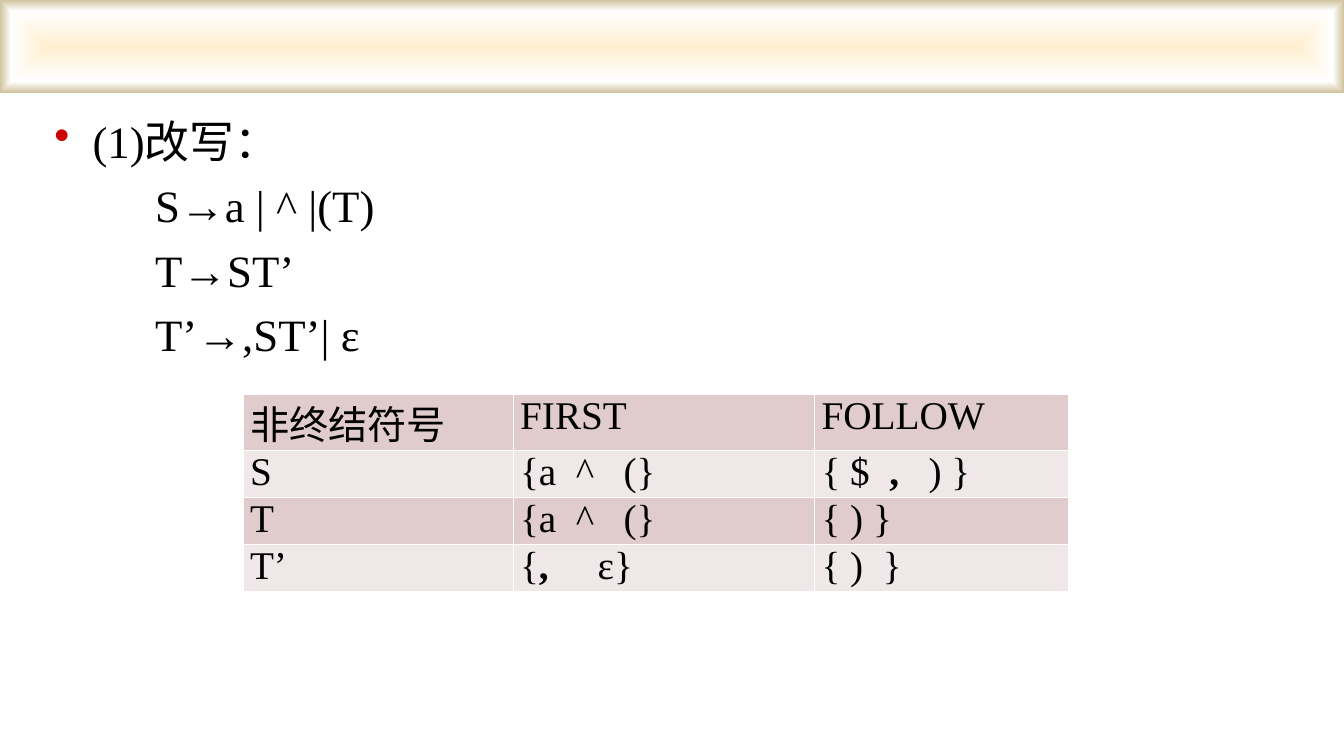
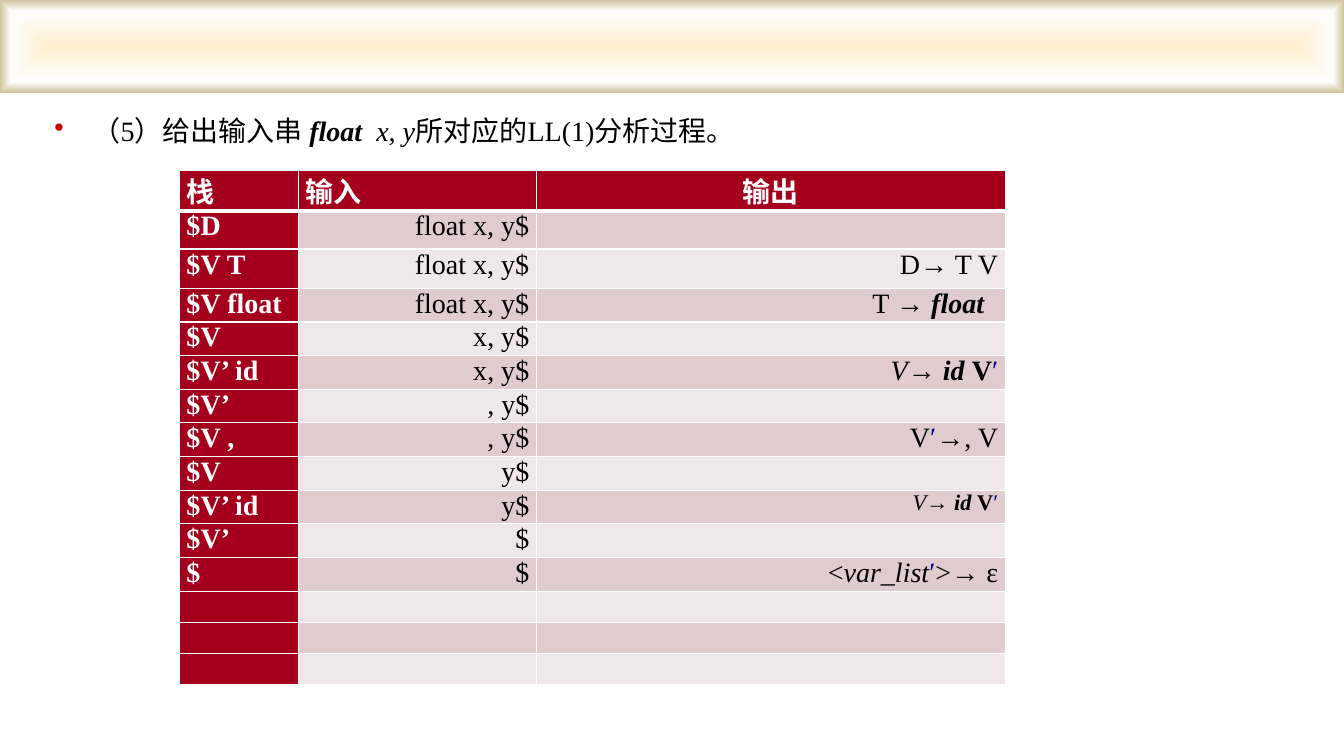
"""Build two slides on LL(1) parsing: FIRST and FOLLOW sets, then a parse trace."""
from lxml.etree import SubElement
from pptx import Presentation
from pptx.dml.color import RGBColor
from pptx.enum.shapes import MSO_SHAPE
from pptx.enum.text import PP_ALIGN
from pptx.oxml import parse_xml
from pptx.oxml.ns import nsdecls, qn
from pptx.util import Inches, Pt

THEME = {
    "font": "Times New Roman",
    "black": "000000",
    "white": "FFFFFF",
    "prime": "000099",
    "bullet": "CC0000",
    "header": "A4001D",
    "bands": ("E0CCCD", "F0E7E8"),
    "gradient": ((0, "FFEFD1"), (76, "FFFFFF"), (100, "D1C39F")),
    "heading": 32,
    "set": 28,
    "trace": 20,
    "small": 16,
}
BOLD = {"bold": True}
ITALIC = {"italic": True}
BOLD_ITALIC = {"bold": True, "italic": True}
PRIME = ("′", {"color": THEME["prime"]})
LEFT, CENTER, RIGHT = PP_ALIGN.JUSTIFY, PP_ALIGN.CENTER, PP_ALIGN.RIGHT


def write(para, content, size, align, **base):
    """Fill a paragraph from a string or a list of strings and (text, format) pairs."""
    para.alignment = align
    for part in [content] if isinstance(content, str) else content:
        text, extra = (part, {}) if isinstance(part, str) else part
        values = {"name": THEME["font"], "size": size, "color": THEME["black"], **base, **extra}
        span = para.add_run()
        span.text = text
        span.font.color.rgb = RGBColor.from_string(values.pop("color"))
        values["size"] = Pt(values["size"])
        for name, value in values.items():
            setattr(span.font, name, value)


def add_grid(page, left, top, widths, heights):
    """Add a plain table with white rules and return its cells row by row."""
    frame = page.shapes.add_table(len(heights), len(widths), Inches(left), Inches(top),
                                  Inches(sum(widths)), Inches(sum(heights)))
    table = frame.table
    table.first_row = table.horz_banding = False
    for column, width in zip(table.columns, widths):
        column.width = Inches(width)
    for row, height in zip(table.rows, heights):
        row.height = Inches(height)
        for cell in row.cells:
            cell.margin_left = cell.margin_right = Inches(0.07)
            cell.margin_top = cell.margin_bottom = 0
            for side in ("lnL", "lnR", "lnT", "lnB"):
                rule = SubElement(cell._tc.get_or_add_tcPr(), qn(f"a:{side}"), w=str(Pt(1)))
                fill = SubElement(rule, qn("a:solidFill"))
                SubElement(fill, qn("a:srgbClr"), val=THEME["white"])
            cell.fill.solid()
    return [list(row.cells) for row in table.rows]


deck = Presentation()
deck.slide_width, deck.slide_height = Inches(13.33), Inches(7.5)

stops = "".join(f'<a:gs pos="{place * 1000}"><a:srgbClr val="{color}"/></a:gs>'
                for place, color in THEME["gradient"])
gradient = (f'<a:gradFill {nsdecls("a")} rotWithShape="1"><a:gsLst>{stops}</a:gsLst><a:path path="shape">'
            '<a:fillToRect l="50000" t="50000" r="50000" b="50000"/></a:path></a:gradFill>')

bodies = [
    (THEME["heading"], LEFT, 5.44, ["(1)改写：", "S→a | ^ |(T)", "T→ST’", "T’→,ST’| ε"]),
    (THEME["trace"], PP_ALIGN.LEFT, 0.62,
     [["（5）给出输入串 ", ("float", BOLD_ITALIC), ("  x, y", ITALIC), "所对应的LL(1)分析过程。"]]),
]
pages = []
for size, align, height, lines in bodies:
    page = deck.slides.add_slide(deck.slide_layouts[6])
    pages.append(page)
    band = page.shapes.add_shape(MSO_SHAPE.RECTANGLE, 0, 0, deck.slide_width, Inches(0.92))
    band._element.spPr.append(parse_xml(gradient))
    band.line.fill.background()
    band.shadow.inherit = False

    box = page.shapes.add_textbox(Inches(0.44), Inches(1.08), Inches(12.44), Inches(height))
    box.text_frame.word_wrap = True
    for index, line in enumerate(lines):
        para = box.text_frame.add_paragraph() if index else box.text_frame.paragraphs[0]
        layout = para._p.get_or_add_pPr()
        if index:
            layout.set("marL", str(Inches(1)))
            para.space_before = Pt(7.5)
        else:
            layout.set("marL", str(Inches(0.38)))
            layout.set("indent", str(Inches(-0.38)))
            color = SubElement(layout, qn("a:buClr"))
            SubElement(color, qn("a:srgbClr"), val=THEME["bullet"])
            SubElement(layout, qn("a:buChar"), char="•")
        write(para, line, size, align)

sets_page, trace_page = pages

sets = [
    ["非终结符号", "FIRST", "FOLLOW"],
    ["S", "{a  ^   (}", ["{ $  ", (",", BOLD), "   ) }"]],
    ["T", "{a  ^   (}", "{ ) }"],
    ["T’", ["{", (",     ", BOLD), "ε}"], "{ )  }"],
]
grid = add_grid(sets_page, 2.41, 3.91, [2.68, 2.99, 2.52], [0.56] + [0.43] * 3)
for number, (cells, contents) in enumerate(zip(grid, sets)):
    for cell, content in zip(cells, contents):
        cell.fill.fore_color.rgb = RGBColor.from_string(THEME["bands"][number % 2])
        write(cell.text_frame.paragraphs[0], content, THEME["set"], LEFT)

expand = [("V", ITALIC), "→ ", ("id ", BOLD_ITALIC), ("V", BOLD), PRIME]
small_expand = [(text, {**extra, "size": THEME["small"]}) for text, extra in
                [(part, {}) if isinstance(part, str) else part for part in expand]]
trace = [
    ["栈", "输入", "输出"],
    ["$D", "float x, y$", ""],
    ["$V T", "float x, y$", "D→ T V"],
    ["$V float", "float x, y$", ["T → ", ("float  ", BOLD_ITALIC)]],
    ["$V", "x, y$", ""],
    ["$V’ id", "x, y$", expand],
    ["$V’", ", y$", ""],
    ["$V ,", ", y$", ["V", PRIME, ("→", ITALIC), ", V"]],
    ["$V", "y$", ""],
    ["$V’ id", "y$", small_expand],
    ["$V’", "$", ""],
    ["$", "$", ["<", ("var_list", ITALIC), PRIME, ">", ("→ ", ITALIC), "ε"]],
] + [["", "", ""]] * 3
grid = add_grid(trace_page, 1.78, 1.69, [1.18, 2.36, 4.65], [0.4, 0.38, 0.39] + [0.31] * 12)
for number, (cells, contents) in enumerate(zip(grid, trace)):
    for column, (cell, content) in enumerate(zip(cells, contents)):
        heading = number == 0 or column == 0
        fill = THEME["header"] if heading else THEME["bands"][(number - 1) % 2]
        cell.fill.fore_color.rgb = RGBColor.from_string(fill)
        if number < 2:
            edge = cell._tc.tcPr.find(qn("a:lnT" if number else "a:lnB"))
            edge.set("w", str(Pt(3)))
        align = (LEFT, LEFT, CENTER)[column] if heading else RIGHT
        look = {"color": THEME["white"], "bold": True} if heading else {}
        if content:
            write(cell.text_frame.paragraphs[0], content, THEME["trace"], align, **look)

deck.save("out.pptx")
